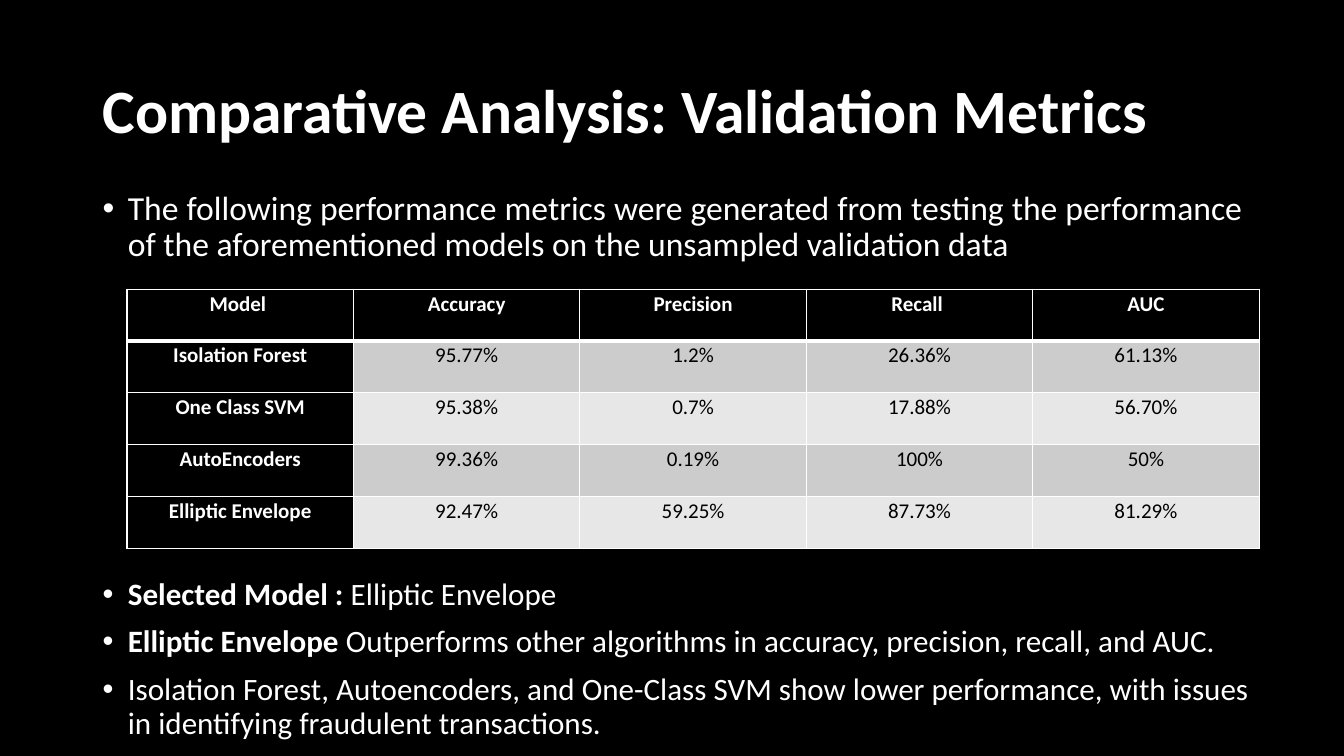
from dataclasses import dataclass

from lxml import etree
from pptx import Presentation
from pptx import util as u
from pptx.dml.color import RGBColor
from pptx.enum import text
from pptx.oxml import ns


@dataclass(frozen=True)
class Theme:
    font: str = "Calibri"
    black: str = "000000"
    white: str = "FFFFFF"
    bands: tuple = ("CCCCCC", "E7E7E7")
    title: float = 44
    intro: float = 24
    findings: float = 22.2
    cell: float = 15
    border: float = 1
    header_border: float = 3


THEME = Theme()

METRICS = [
    ("Model ", "Accuracy", "Precision", "Recall ", "AUC"),
    ("Isolation Forest", "95.77%", "1.2%", "26.36%", "61.13%"),
    ("One Class SVM", "95.38%", "0.7%", "17.88%", "56.70%"),
    ("AutoEncoders", "99.36%", "0.19%", "100%", "50%"),
    ("Elliptic Envelope", "92.47%", "59.25%", "87.73%", "81.29%"),
]

# Each bullet is a list of (words, bold) runs
INTRO = [
    [("The following performance metrics were generated from testing the performance "
      "of the aforementioned models on the unsampled validation data", False)],
]
FINDINGS = [
    [("Selected Model :", True), (" Elliptic Envelope", False)],
    [("Elliptic Envelope ", True),
     ("Outperforms other algorithms in accuracy, precision, recall, and AUC.", False)],
    [("Isolation Forest, Autoencoders, and One-Class SVM show lower performance, "
      "with issues in identifying fraudulent transactions.", False)],
]


def add_run(paragraph, words, size, color=THEME.white, bold=False):
    run = paragraph.add_run()
    run.text = words
    run.font.name = THEME.font
    run.font.size = u.Pt(size)
    run.font.bold = bold
    run.font.color.rgb = RGBColor.from_string(color)


def add_text_frame(slide, left, top, width, height):
    box = slide.shapes.add_textbox(*map(u.Inches, (left, top, width, height)))
    box.text_frame.word_wrap = True
    return box.text_frame


def add_title(slide, words):
    frame = add_text_frame(slide, 0.92, 0.4, 11.5, 1.45)
    frame.vertical_anchor = text.MSO_ANCHOR.MIDDLE
    paragraph = frame.paragraphs[0]
    paragraph.line_spacing = 0.9
    add_run(paragraph, words, THEME.title, bold=True)


def add_bullets(slide, bullets, size, *place):
    frame = add_text_frame(slide, *place)
    for index, runs in enumerate(bullets):
        paragraph = frame.add_paragraph() if index else frame.paragraphs[0]
        paragraph.alignment = text.PP_ALIGN.JUSTIFY
        paragraph.line_spacing = 0.9
        paragraph.space_before = u.Pt(10)
        properties = paragraph._p.get_or_add_pPr()
        properties.set("marL", str(u.Inches(0.25)))
        properties.set("indent", str(u.Inches(-0.25)))
        etree.SubElement(properties, ns.qn("a:buFont"), typeface="Arial")
        etree.SubElement(properties, ns.qn("a:buChar"), char="•")
        for words, bold in runs:
            add_run(paragraph, words, size, bold=bold)


def set_borders(cell, top, bottom):
    properties = cell._tc.get_or_add_tcPr()
    widths = {"lnL": THEME.border, "lnR": THEME.border, "lnT": top, "lnB": bottom}
    for side, width in widths.items():
        line = etree.SubElement(properties, ns.qn(f"a:{side}"), w=str(u.Pt(width)))
        fill = etree.SubElement(line, ns.qn("a:solidFill"))
        etree.SubElement(fill, ns.qn("a:srgbClr"), val=THEME.white)


def fill_cell(cell, words, row, column):
    heading = row == 0 or column == 0
    cell.margin_left = cell.margin_right = u.Inches(0.07)
    cell.margin_top = cell.margin_bottom = 0

    # Borders go before the fill in the cell properties
    set_borders(cell,
                top=THEME.header_border if row == 1 else THEME.border,
                bottom=THEME.header_border if row == 0 else THEME.border)
    cell.fill.solid()
    background = THEME.black if heading else THEME.bands[(row - 1) % 2]
    cell.fill.fore_color.rgb = RGBColor.from_string(background)

    paragraph = cell.text_frame.paragraphs[0]
    paragraph.alignment = text.PP_ALIGN.CENTER
    paragraph.line_spacing = 1.07
    paragraph.space_after = u.Pt(8)
    add_run(paragraph, words, THEME.cell,
            THEME.white if heading else THEME.black, heading)


def add_metrics_table(slide, rows):
    place = map(u.Inches, (1.26, 2.87, 11.23, 2.57))
    table = slide.shapes.add_table(len(rows), len(rows[0]), *place).table
    for row, values in enumerate(rows):
        for column, words in enumerate(values):
            fill_cell(table.cell(row, column), words, row, column)


def main():
    presentation = Presentation()
    presentation.slide_width = u.Inches(13.33)
    presentation.slide_height = u.Inches(7.5)
    slide = presentation.slides.add_slide(presentation.slide_layouts[6])
    slide.background.fill.solid()
    slide.background.fill.fore_color.rgb = RGBColor.from_string(THEME.black)

    # Heading and introduction
    add_title(slide, "Comparative Analysis: Validation Metrics")
    add_bullets(slide, INTRO, THEME.intro, 0.92, 1.85, 11.5, 0.88)

    # Metrics and findings
    add_metrics_table(slide, METRICS)
    add_bullets(slide, FINDINGS, THEME.findings, 0.92, 5.69, 11.57, 1.81)

    presentation.save("out.pptx")


if __name__ == "__main__":
    main()
